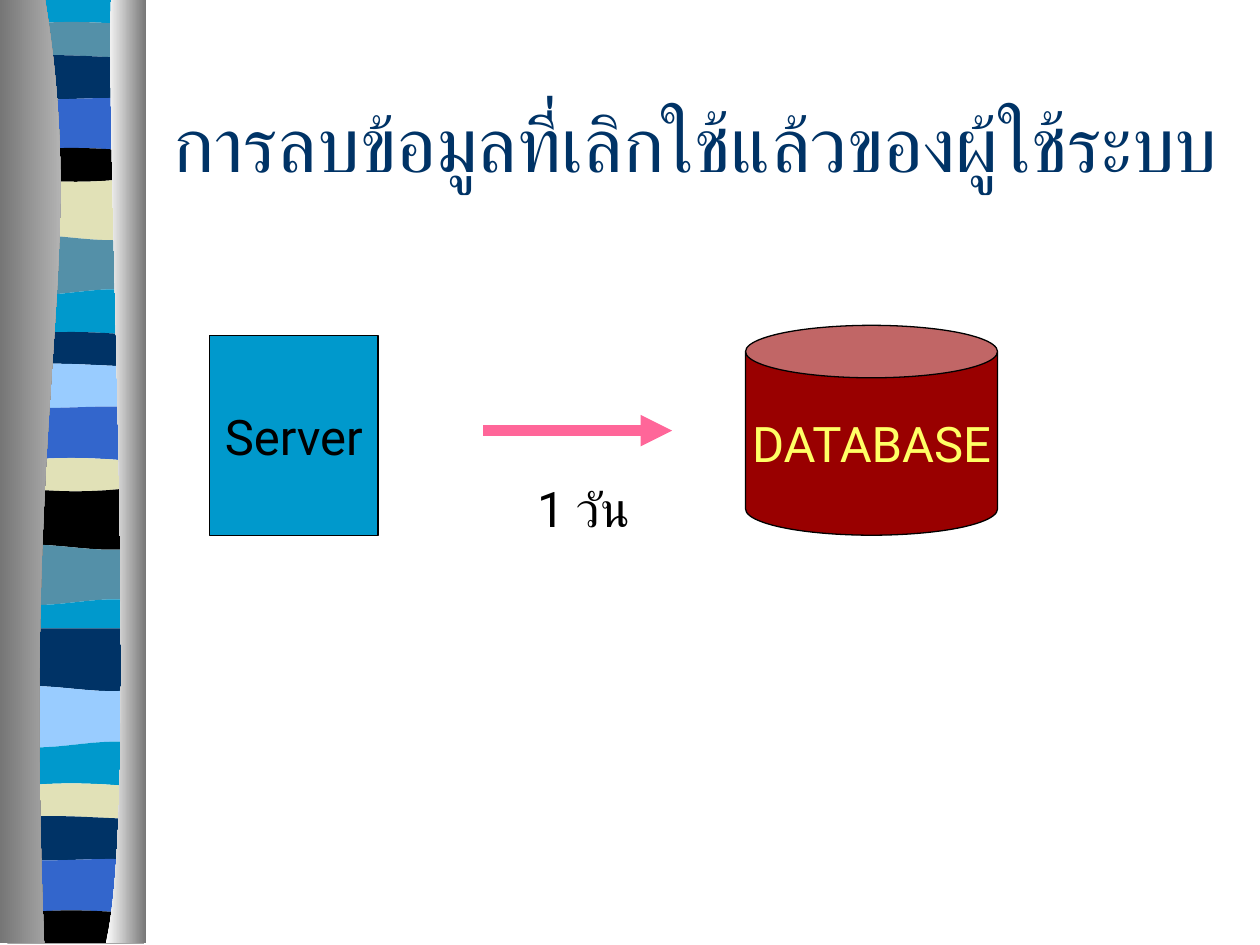
from lxml import etree
from pptx import Presentation
from pptx import util as u
from pptx.dml import color
from pptx.enum import shapes, text
from pptx.oxml import ns

THEME = {
    "font": "Roboto", "title_size": 44, "label_size": 28,
    "navy": "003366", "cyan": "0099CC", "teal": "5490A8", "blue": "3366CC",
    "sky": "99CCFF", "sand": "E1E1B7", "black": "000000", "red": "990000",
    "yellow": "FFFF66", "pink": "FF6699",
    "shade": "767676", "silver": "D0D0D0", "white": "FFFFFF",
}

TITLE = "การลบข้อมูลที่เลิกใช้แล้วของผู้ใช้ระบบ"
# text, preset, (left, top, width, height) in cm, fill, text colour
NODES = [
    ("Server", shapes.MSO_SHAPE.RECTANGLE, (4.23, 6.77, 3.39, 4.02), "cyan", "black"),
    ("DATABASE", shapes.MSO_SHAPE.CAN, (15.03, 6.56, 5.08, 4.23), "red", "yellow"),
]
ARROW = (9.74, 8.68, 13.55, 8.68)
DELAY = ("1 วัน", (10.58, 9.53, 2.96, 1.45))

# Edge shapes of the ribbon: vertical offsets of four Bézier points
FLAT, CREST, DIP = (0, 0, 0, 0), (0, -0.13, -0.1, 0), (0, 0.14, 0.14, 0)
RISE, FALL = (0, -0.15, 0.2, 0), (0, 0.2, -0.2, 0)
LEAN, RIPPLE = (0, -0.13, 0, 0), (0, 0.12, -0.05, 0.05)
# colour, top in cm, shape of the top edge
BANDS = [
    ("cyan", 0, FLAT), ("teal", 0.53, CREST), ("navy", 1.17, LEAN),
    ("blue", 1.96, RIPPLE), ("black", 3.07, CREST), ("sand", 3.56, DIP),
    ("teal", 4.78, RISE), ("cyan", 5.89, FALL), ("navy", 6.78, CREST),
    ("sky", 7.39, LEAN), ("blue", 8.18, RIPPLE), ("sand", 9.32, CREST),
    ("black", 9.8, DIP), ("teal", 11.02, RISE), ("cyan", 12.14, FALL),
    ("navy", 12.67, FLAT), ("sky", 13.87, RISE), ("cyan", 15.01, FALL),
    ("sand", 15.88, CREST), ("navy", 16.51, LEAN), ("blue", 17.3, RIPPLE),
    ("black", 18.44, CREST),
]
RIBBON_LEFT, RIBBON_RIGHT, BOTTOM = 0.15, 2.9, 19.02
# straight side, Bézier points of the curved side, colours from left to right
COLUMNS = [
    (0, [(0.91, 0), (1.8, 5.49), (0.43, 7.52), (0.89, BOTTOM)], ("shade", "silver")),
    (2.95, [(2.24, 0), (2.13, 3.18), (2.82, 16.41), (2.13, BOTTOM)], ("white", "shade")),
]


def rgb(name):
    return color.RGBColor.from_string(THEME[name])


def add_outline(slide, points, curve_starts):
    """Draw a closed outline; three segments from each curve start form one Bézier."""
    corners = [(u.Cm(x), u.Cm(y)) for x, y in points]
    builder = slide.shapes.build_freeform(*corners[0])
    builder.add_line_segments(corners[1:], close=True)
    outline = builder.convert_to_shape()
    segments = list(outline._element.iter(ns.qn("a:lnTo")))
    for start in curve_starts:
        curve = etree.Element(ns.qn("a:cubicBezTo"))
        segments[start].addprevious(curve)
        for segment in segments[start:start + 3]:
            curve.append(segment[0])
            segment.getparent().remove(segment)
    outline.shadow.inherit = False
    outline.line.fill.background()
    return outline


def write(shape, words, size="label_size", ink="black", align=text.PP_ALIGN.LEFT,
          anchor=text.MSO_ANCHOR.MIDDLE, wrap=True, fit=text.MSO_AUTO_SIZE.NONE):
    frame = shape.text_frame
    frame.auto_size = fit
    frame.word_wrap = wrap
    frame.vertical_anchor = anchor
    paragraph = frame.paragraphs[0]
    paragraph.alignment = align
    run = paragraph.add_run()
    run.text = words
    run.font.name = THEME["font"]
    run.font.size = u.Pt(THEME[size])
    run.font.color.rgb = rgb(ink)


def draw_ribbon(slide):
    step = (RIBBON_RIGHT - RIBBON_LEFT) / 3
    edges = [[(RIBBON_LEFT + i * step, top + dy) for i, dy in enumerate(wave)]
             for _, top, wave in BANDS + [(None, BOTTOM, FLAT)]]
    for (fill, _, _), upper, lower in zip(BANDS, edges, edges[1:]):
        band = add_outline(slide, upper + lower[::-1], curve_starts=(0, 4))
        band.fill.solid()
        band.fill.fore_color.rgb = rgb(fill)
    for side, curve, shades in COLUMNS:
        column = add_outline(slide, curve + [(side, BOTTOM), (side, 0)], curve_starts=(0,))
        column.fill.gradient()
        column.fill.gradient_angle = 0
        for stop, shade in zip(column.fill.gradient_stops, shades):
            stop.color.rgb = rgb(shade)


def draw_node(slide, words, preset, box, fill, ink):
    node = slide.shapes.add_shape(preset, *map(u.Cm, box))
    node.shadow.inherit = False
    node.fill.solid()
    node.fill.fore_color.rgb = rgb(fill)
    node.line.color.rgb = rgb("black")
    node.line.width = u.Pt(0.75)
    write(node, words, ink=ink, align=text.PP_ALIGN.CENTER, wrap=False)


def draw_arrow(slide):
    arrow = slide.shapes.add_connector(shapes.MSO_CONNECTOR.STRAIGHT, *map(u.Cm, ARROW))
    arrow.line.color.rgb = rgb("pink")
    arrow.line.width = u.Pt(6)
    etree.SubElement(arrow.line._get_or_add_ln(), ns.qn("a:tailEnd"), type="triangle")
    etree.SubElement(arrow._element.spPr, ns.qn("a:effectLst"))


def main():
    deck = Presentation()
    deck.slide_width, deck.slide_height = u.Cm(25.4), u.Cm(19.05)
    slide = deck.slides.add_slide(deck.slide_layouts[5])

    draw_ribbon(slide)
    title = slide.shapes.title
    title.left, title.top, title.width, title.height = map(u.Cm, (3.25, 1.27, 21.59, 3.18))
    write(title, TITLE, size="title_size", ink="navy")

    for node in NODES:
        draw_node(slide, *node)
    draw_arrow(slide)
    words, box = DELAY
    write(slide.shapes.add_textbox(*map(u.Cm, box)), words,
          anchor=text.MSO_ANCHOR.TOP, fit=text.MSO_AUTO_SIZE.SHAPE_TO_FIT_TEXT)
    deck.save("out.pptx")


if __name__ == "__main__":
    main()
